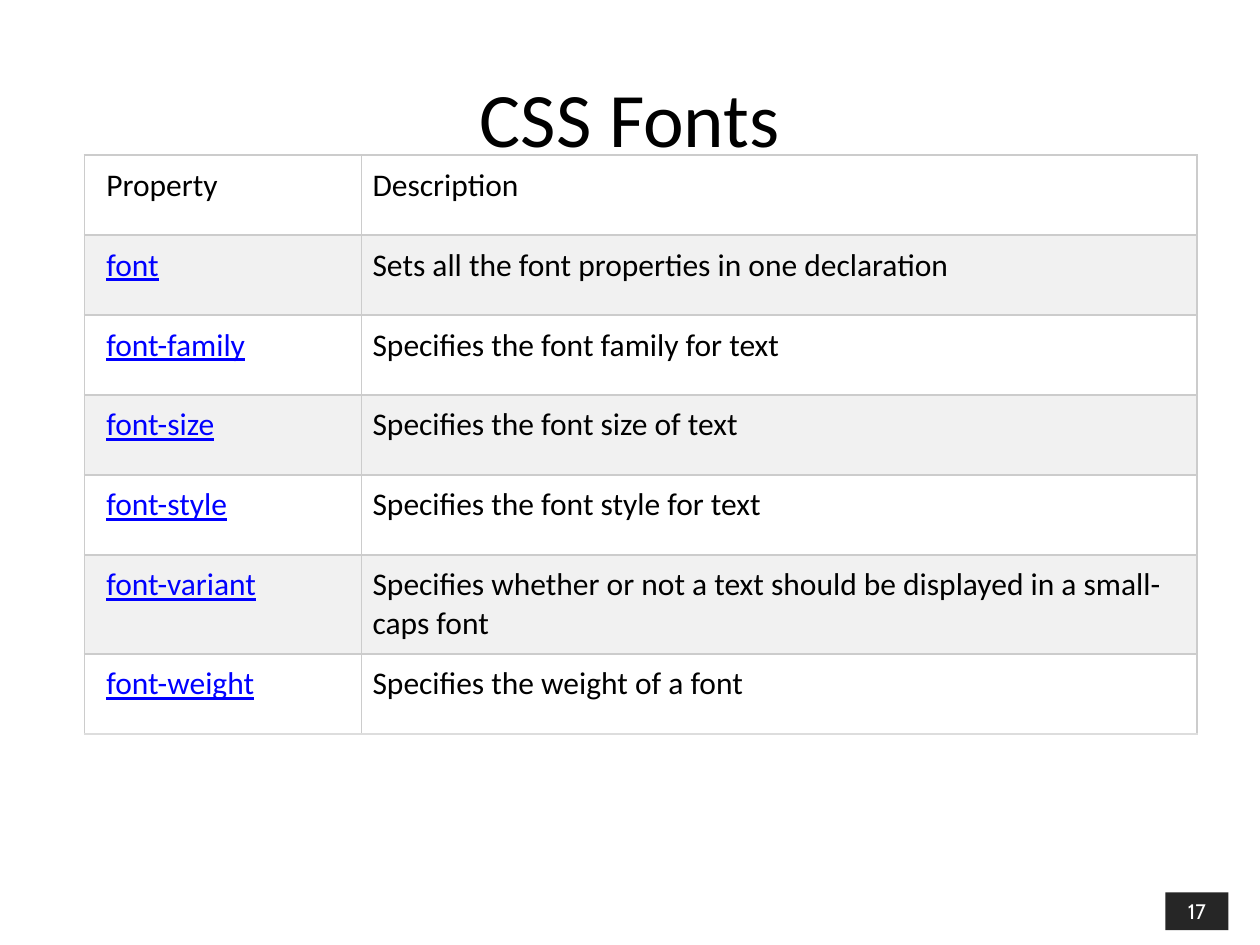
from lxml import etree
from pptx import Presentation
from pptx.dml.color import RGBColor
from pptx.enum.shapes import MSO_SHAPE
from pptx.enum.text import MSO_ANCHOR, PP_ALIGN
from pptx.oxml.ns import qn
from pptx.util import Pt

RECTANGLE = MSO_SHAPE.RECTANGLE
MIDDLE = MSO_ANCHOR.MIDDLE
CENTER, LEFT = PP_ALIGN.CENTER, PP_ALIGN.LEFT
COLORS = {
    "text": "000000", "link": "0000FF", "white": "FFFFFF", "band": "F1F1F1",
    "border": "CCCCCC", "last_border": "DDDDDD", "badge": "262626",
}
COLUMN_WIDTHS = (158.4, 477.4)
LEFT_MARGINS = (12.6, 6.3)
ROW_HEIGHT = 45.7
CELL_MARGIN = 6.3
ROWS = [
    ("Property", "Description"),
    ("font", "Sets all the font properties in one declaration"),
    ("font-family", "Specifies the font family for text"),
    ("font-size", "Specifies the font size of text"),
    ("font-style", "Specifies the font style for text"),
    ("font-variant", "Specifies whether or not a text should be displayed in a small-caps font"),
    ("font-weight", "Specifies the weight of a font"),
]


def rgb(name):
    """Return the named colour."""
    return RGBColor.from_string(COLORS[name])


def set_text(tf, text, size, color="text", font="Calibri", align=LEFT):
    """Write one formatted paragraph and return it."""
    tf.text = text
    p = tf.paragraphs[0]
    p.alignment = align
    p.font.size = Pt(size)
    p.font.name = font
    p.font.color.rgb = rgb(color)
    return p


def set_borders(cell, bottom):
    """Draw thin lines on all four sides of a cell."""
    tc_pr = cell._tc.get_or_add_tcPr()
    for side in "LRTB":
        ln = etree.SubElement(tc_pr, qn(f"a:ln{side}"), w=str(Pt(1)))
        fill = etree.SubElement(ln, qn("a:solidFill"))
        color = bottom if side == "B" else "border"
        etree.SubElement(fill, qn("a:srgbClr"), val=COLORS[color])


def add_title(s, text):
    """Place and fill the title placeholder."""
    sp = s.shapes.title
    sp.left, sp.top, sp.width, sp.height = Pt(36), Pt(21.6), Pt(648), Pt(90)
    sp.text_frame.vertical_anchor = MIDDLE
    set_text(sp.text_frame, text, 44, align=CENTER)


def add_property_table(s):
    """Add the banded table of font properties."""
    frame = s.shapes.add_table(len(ROWS), len(COLUMN_WIDTHS), Pt(48.2), Pt(88.6),
                               Pt(sum(COLUMN_WIDTHS)), Pt(ROW_HEIGHT * len(ROWS)))
    table = frame.table
    for column, width in zip(table.columns, COLUMN_WIDTHS):
        column.width = Pt(width)
    for i, row in enumerate(ROWS):
        table.rows[i].height = Pt(ROW_HEIGHT)
        bottom = "last_border" if i == len(ROWS) - 1 else "border"
        for j, text in enumerate(row):
            cell = table.cell(i, j)
            cell.margin_left = Pt(LEFT_MARGINS[j])
            cell.margin_top = cell.margin_right = cell.margin_bottom = Pt(CELL_MARGIN)
            set_borders(cell, bottom)
            cell.fill.solid()
            cell.fill.fore_color.rgb = rgb("band" if i % 2 else "white")
            is_link = i > 0 and j == 0
            p = set_text(cell.text_frame, text, 18, "link" if is_link else "text")
            p.font.bold = False
            p.font.underline = is_link


def add_page_badge(s, number):
    """Add the dark page number box."""
    sp = s.shapes.add_shape(RECTANGLE, Pt(666), Pt(510), Pt(36), Pt(21.6))
    sp.shadow.inherit = False
    sp.fill.solid()
    sp.fill.fore_color.rgb = rgb("badge")
    sp.line.fill.background()
    sp.text_frame.vertical_anchor = MIDDLE
    set_text(sp.text_frame, number, 12, "white", "Cabin", CENTER)


def main():
    """Build and save the slide."""
    prs = Presentation()
    prs.slide_width, prs.slide_height = Pt(720), Pt(540)
    s = prs.slides.add_slide(prs.slide_layouts[5])
    add_page_badge(s, "17")
    add_title(s, "CSS Fonts")
    add_property_table(s)
    prs.save("out.pptx")


main()
